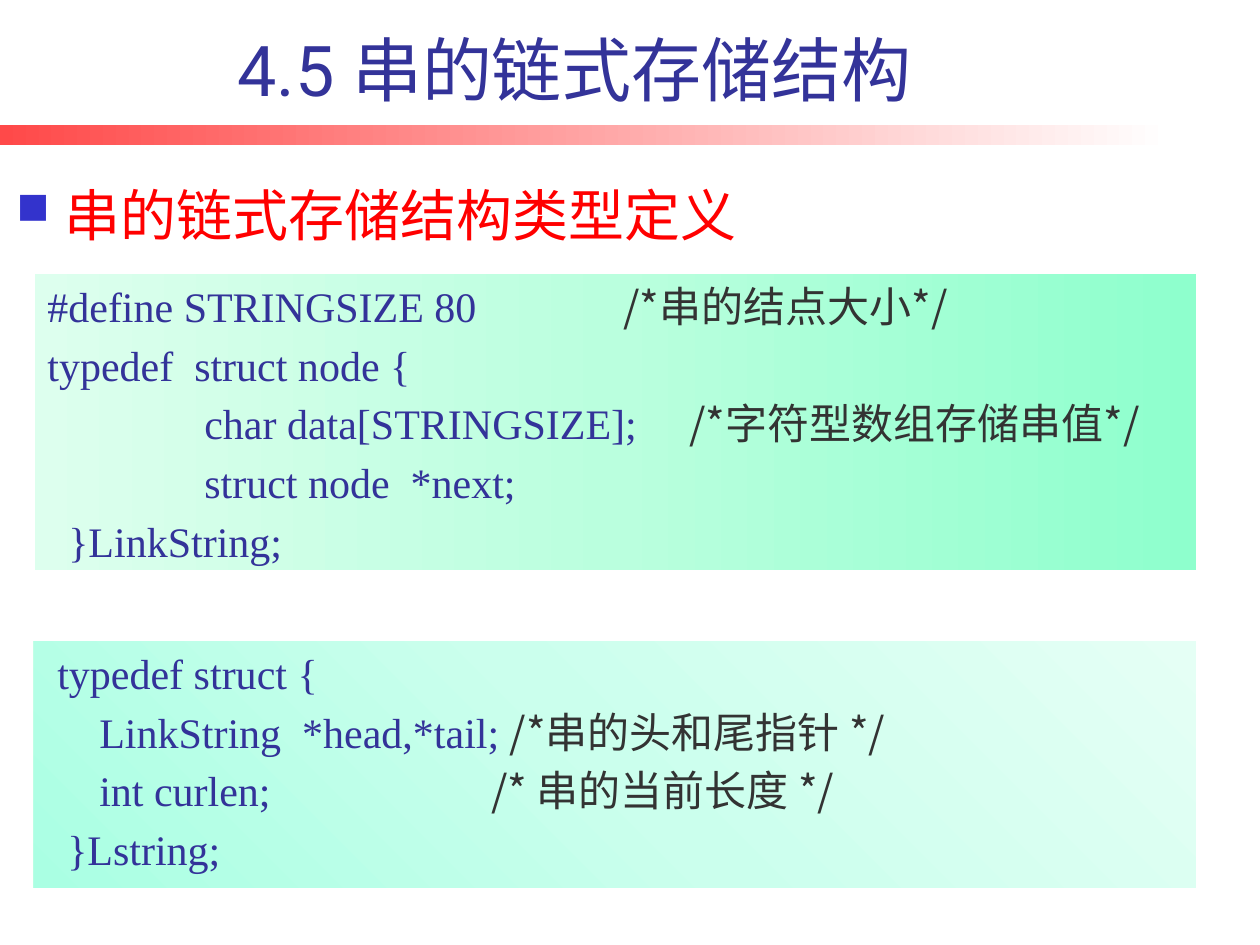
"""Build the slide on the linked storage structure of strings."""
from dataclasses import dataclass

from lxml import etree
from pptx import Presentation
from pptx.dml.color import RGBColor
from pptx.enum.shapes import MSO_SHAPE
from pptx.enum.text import MSO_ANCHOR, PP_ALIGN
from pptx.oxml.ns import qn
from pptx.util import Pt

RECT = MSO_SHAPE.RECTANGLE
TOP, BOTTOM = MSO_ANCHOR.TOP, MSO_ANCHOR.BOTTOM
LEFT, CENTER = PP_ALIGN.LEFT, PP_ALIGN.CENTER
EMU_PER_PX = 914400 / 126


@dataclass(frozen=True)
class Theme:
    navy: str = "333399"
    red: str = "FF0000"
    gray: str = "333333"
    bullet: str = "3333CC"
    latin: str = "Roboto"
    cjk: str = "Noto Sans CJK SC"
    code: str = "Times New Roman"
    title_size: int = 40
    heading_size: int = 32
    code_size: int = 24
    code_leading: float = 29
    code_gap: float = 4.5


@dataclass(frozen=True)
class Box:
    left: int
    top: int
    width: int
    height: int


@dataclass(frozen=True)
class CodeLine:
    code: str
    comment: str = ""
    tabs: tuple[int, ...] = ()


@dataclass(frozen=True)
class Panel:
    box: Box
    colors: tuple[str, ...]
    lines: tuple[CodeLine, ...] = ()
    angle: int = 0
    radial: bool = False


T = Theme()
BAR = Panel(Box(0, 125, 1171, 20), ("FF4949", "FFFFFF"))
PANELS = (
    Panel(Box(35, 274, 1161, 296), ("8EFFCD", "BAFFDE", "DDFFEE"), (
        CodeLine("#define STRINGSIZE 80\t", "/*串的结点大小*/", (576,)),
        CodeLine("typedef  struct node {"),
        CodeLine("\tchar data[STRINGSIZE];\t", "/*字符型数组存储串值*/", (157, 642)),
        CodeLine("\tstruct node  *next;", tabs=(157,)),
        CodeLine("\t}LinkString;", tabs=(21,)),
    ), angle=180),
    Panel(Box(34, 641, 1162, 247), ("AAFFE3", "CBFFED", "E5FFF5"), (
        CodeLine("\ttypedef struct {", tabs=(11,)),
        CodeLine("\tLinkString  *head,*tail; ", "/*串的头和尾指针 */", (53,)),
        CodeLine("\tint curlen;\t", "/* 串的当前长度 */", (53, 445)),
        CodeLine("\t}Lstring;", tabs=(21,)),
    ), radial=True),
)


def px(value: float) -> int:
    """Turn pixels into EMU."""
    return round(value * EMU_PER_PX)


def place(box: Box) -> tuple[int, ...]:
    """Return the position and size of a box in EMU."""
    return tuple(px(v) for v in (box.left, box.top, box.width, box.height))


def add_xml(parent, tag: str, **attrs):
    """Append a DrawingML element."""
    return etree.SubElement(parent, qn(tag), {k: str(v) for k, v in attrs.items()})


def add_text(p, text: str, *, size: float, font: str, color: str) -> None:
    """Append a formatted run to a paragraph."""
    r = p.add_run()
    r.text = text
    r.font.size = Pt(size)
    r.font.name = font
    r.font.color.rgb = RGBColor.from_string(color)
    add_xml(r._r.get_or_add_rPr(), "a:ea", typeface=T.cjk)


def add_panel(s, panel: Panel):
    """Draw a borderless rectangle with a gradient."""
    sp = s.shapes.add_shape(RECT, *place(panel.box))
    sp.shadow.inherit = False
    sp.line.fill.background()
    sp.fill.gradient()
    grad = sp._element.spPr.find(qn("a:gradFill"))
    for child in list(grad):
        grad.remove(child)
    stops = add_xml(grad, "a:gsLst")
    for i, color in enumerate(panel.colors):
        pos = i * 100000 // (len(panel.colors) - 1)
        add_xml(add_xml(stops, "a:gs", pos=pos), "a:srgbClr", val=color)
    if panel.radial:
        path = add_xml(grad, "a:path", path="circle")
        add_xml(path, "a:fillToRect", l=0, t=100000, r=100000, b=0)
    else:
        add_xml(grad, "a:lin", ang=panel.angle * 60000, scaled=1)
    return sp


def add_code(sp, lines: tuple[CodeLine, ...]) -> None:
    """Fill a panel with code lines aligned on tab stops."""
    tf = sp.text_frame
    tf.word_wrap = True
    tf.vertical_anchor = TOP
    for i, line in enumerate(lines):
        p = tf.add_paragraph() if i else tf.paragraphs[0]
        p.alignment = LEFT
        p.line_spacing = Pt(T.code_leading)
        p.space_before = Pt(T.code_gap if i else 0)
        if line.tabs:
            tabs = add_xml(p._p.get_or_add_pPr(), "a:tabLst")
            for stop in line.tabs:
                add_xml(tabs, "a:tab", pos=px(stop), algn="l")
        add_text(p, line.code, size=T.code_size, font=T.code, color=T.navy)
        if line.comment:
            add_text(p, line.comment, size=T.code_size, font=T.cjk, color=T.gray)


def add_line(s, box: Box, text: str, *, size: float, font: str, color: str, align=LEFT):
    """Add a one-line text box and return its paragraph."""
    tf = s.shapes.add_textbox(*place(box)).text_frame
    tf.word_wrap = True
    tf.vertical_anchor = BOTTOM
    p = tf.paragraphs[0]
    p.alignment = align
    add_text(p, text, size=size, font=font, color=color)
    return p


def add_bullet(p, indent: int) -> None:
    """Give a paragraph a square bullet with a hanging indent."""
    pPr = p._p.get_or_add_pPr()
    pPr.set("marL", str(px(indent)))
    pPr.set("indent", str(-px(indent)))
    add_xml(add_xml(pPr, "a:buClr"), "a:srgbClr", val=T.bullet)
    add_xml(pPr, "a:buSzPct", val=80000)
    add_xml(pPr, "a:buChar", char="■")


def main() -> None:
    """Build and save the slide."""
    prs = Presentation()
    prs.slide_width, prs.slide_height = px(1260), px(945)
    s = prs.slides.add_slide(prs.slide_layouts[6])
    add_panel(s, BAR)
    heading = add_line(s, Box(4, 165, 924, 89), "串的链式存储结构类型定义",
                       size=T.heading_size, font=T.cjk, color=T.red)
    add_bullet(heading, 48)
    for panel in PANELS:
        add_code(add_panel(s, panel), panel.lines)
    add_line(s, Box(29, 28, 1074, 89), " 4.5 串的链式存储结构",
             size=T.title_size, font=T.latin, color=T.navy, align=CENTER)
    prs.save("out.pptx")


main()
